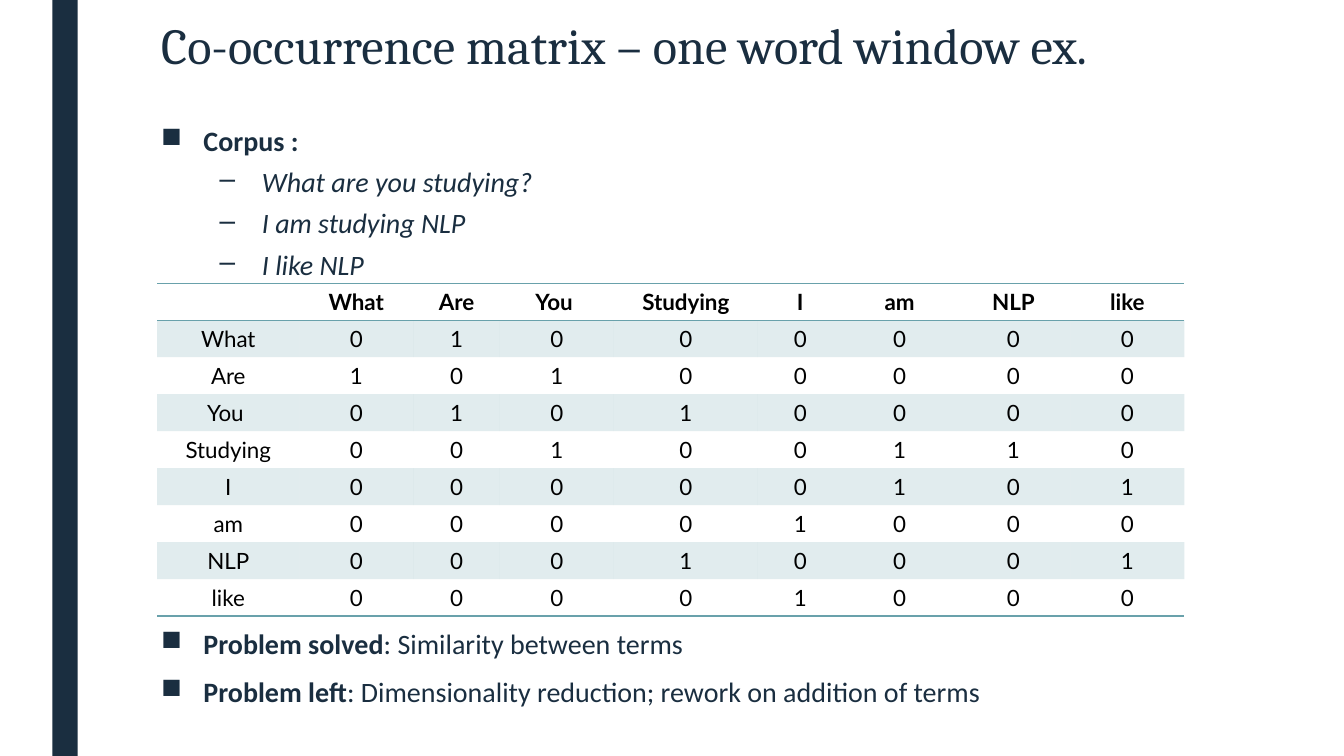
from typing import NamedTuple

from lxml.etree import SubElement as Sub
from pptx import Presentation
from pptx.dml.color import RGBColor as Rgb
from pptx.enum.shapes import MSO_SHAPE as Shape
from pptx.enum.text import MSO_ANCHOR as Anchor, PP_ALIGN as Align
from pptx.oxml import parse_xml
from pptx.oxml.ns import nsdecls, qn
from pptx.util import Inches, Pt

COLORS = {"navy": "1A2E40", "teal": "69A1AB", "black": "000000"}
PLAIN = "{2D5ABB26-0587-4C30-8999-92F81FD0307C}"

prs = Presentation()
prs.slide_width, prs.slide_height = Inches(13.333), Inches(7.5)
slide = prs.slides.add_slide(prs.slide_layouts[6])

# Grid of 80 columns by 75 rows
COL, ROW = prs.slide_width / 80, prs.slide_height / 75


class Box(NamedTuple):
    left: float
    top: float
    wide: float
    high: float

    def place(self) -> list[int]:
        return [round(n * u) for n, u in zip(self, (COL, ROW, COL, ROW))]


class Level(NamedTuple):
    mark: str
    indent: float
    before: float


class Item(NamedTuple):
    level: Level
    bold: str = ""
    plain: str = ""
    italic: str = ""
    before: float = 0


def write(para, text: str, size: float = 20, font: str = "Calibri",
          color: str = "navy", bold: bool = False, italic: bool = False) -> None:
    if not text:
        return
    run = para.add_run()
    run.text = text
    face = run.font
    face.size, face.name, face.bold, face.italic = Pt(size), font, bold, italic
    face.color.rgb = Rgb.from_string(COLORS[color])


def add_frame(box: Box):
    frame = slide.shapes.add_textbox(*box.place()).text_frame
    frame.word_wrap = True
    return frame


def add_item(para, item: Item) -> None:
    level = item.level
    para.line_spacing = 0.94
    para.space_before, para.space_after = Pt(item.before or level.before), Pt(2)
    props = para._p.get_or_add_pPr()
    props.set("marL", str(Inches(level.indent)))
    props.set("indent", str(Inches(-0.42)))
    Sub(props, qn("a:buChar")).set("char", level.mark)
    write(para, item.bold, bold=True)
    write(para, item.plain)
    write(para, item.italic, italic=True)


def add_rule(cell, side: str) -> None:
    cell._tc.get_or_add_tcPr().insert(0, parse_xml(
        f'<a:ln{side} {nsdecls("a")} w="12700"><a:solidFill>'
        f'<a:srgbClr val="{COLORS["teal"]}"/></a:solidFill></a:ln{side}>'))


def tint(cell, share: int) -> None:
    cell.fill.solid()
    cell.fill.fore_color.rgb = Rgb.from_string(COLORS["teal"])
    color = cell._tc.tcPr.find(".//" + qn("a:srgbClr"))
    Sub(color, qn("a:alpha")).set("val", str(share * 1000))


# Side bar
bar = slide.shapes.add_shape(Shape.RECTANGLE, *Box(3.12, 0, 1.5, 75).place())
bar.shadow.inherit = False
bar.fill.solid()
bar.fill.fore_color.rgb = Rgb.from_string(COLORS["navy"])
bar.line.fill.background()

# Title
title = add_frame(Box(9, 1.6, 63, 8.6)).paragraphs[0]
title.line_spacing = 0.89
write(title, "Co-occurrence matrix – one word window ex.", size=36, font="Cambria")

# Corpus and conclusions, with room for the matrix between them
MAIN, SUB = Level("■", 0.42, 10), Level("–", 1, 5)
ITEMS = [
    Item(MAIN, bold="Corpus :"),
    Item(SUB, italic="What are you studying?"),
    Item(SUB, italic="I am studying NLP"),
    Item(SUB, italic="I like NLP"),
    Item(MAIN, "Problem solved", ": Similarity between terms", before=246),
    Item(MAIN, "Problem left",
         ": Dimensionality reduction; rework on addition of terms"),
]
body = add_frame(Box(9, 12, 63, 60.6))
for n, item in enumerate(ITEMS):
    add_item(body.add_paragraph() if n else body.paragraphs[0], item)

# Matrix
WORDS = ["What", "Are", "You ", "Studying", "I", "am", "NLP", "like"]
COUNTS = ["01000000", "10100000", "01010000", "00100110",
          "00000101", "00001000", "00010001", "00001000"]
WIDTHS = [8.46, 6.78, 5.16, 6.78, 8.58, 5.04, 6.78, 6.78, 6.78]
GRID = [["", *WORDS]] + [[word, *row] for word, row in zip(WORDS, COUNTS)]
last = len(GRID) - 1

matrix = slide.shapes.add_table(
    len(GRID), len(WIDTHS), *Box(9.36, 28.1, sum(WIDTHS), 33).place()).table
matrix.first_row = matrix.horz_banding = False
matrix._tbl.tblPr.find(qn("a:tableStyleId")).text = PLAIN
for column, width in zip(matrix.columns, WIDTHS):
    column.width = round(width * COL)

for r, line in enumerate(GRID):
    for c, text in enumerate(line):
        cell = matrix.cell(r, c)
        cell.vertical_anchor = Anchor.MIDDLE
        para = cell.text_frame.paragraphs[0]
        para.alignment = Align.CENTER
        write(para, text, size=16, font="Lato", color="black", bold=r == 0)
        if r % 2:
            tint(cell, 20)
        else:
            cell.fill.background()
        if r in (0, last):
            add_rule(cell, "B")
        if r == 0:
            add_rule(cell, "T")
            cell.margin_left = cell.margin_right = cell.margin_top = Inches(0.01)
            cell.margin_bottom = 0

prs.save("out.pptx")
